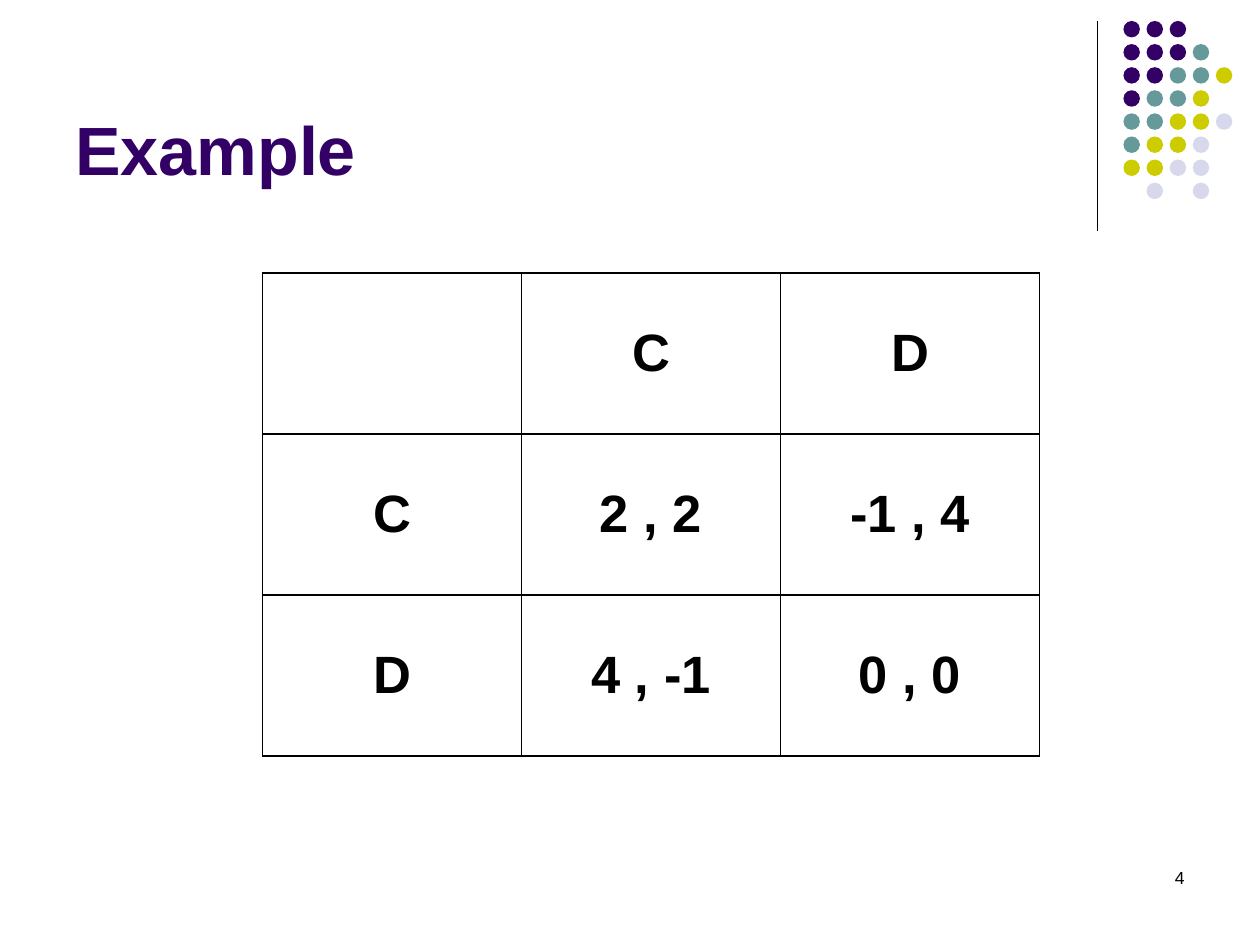
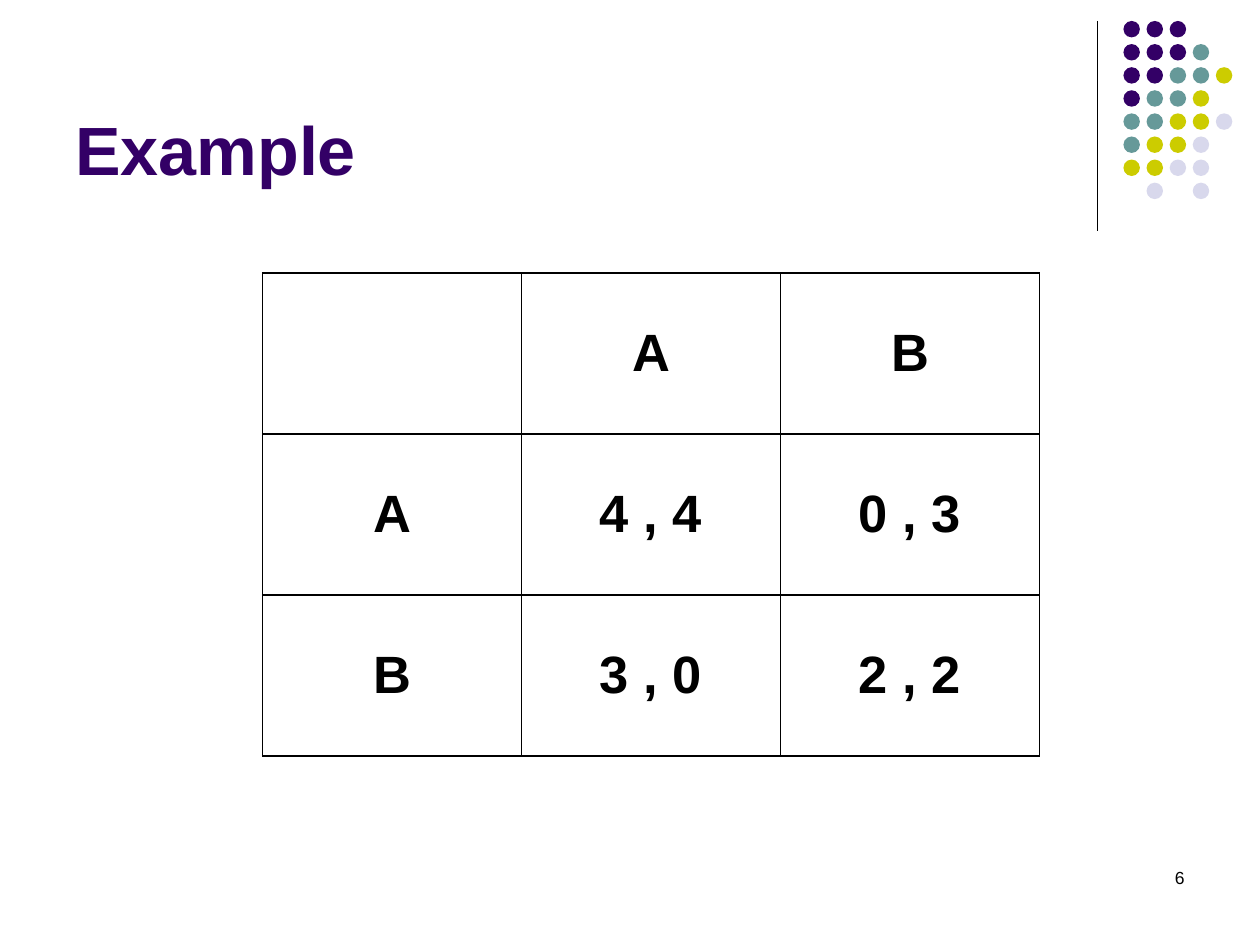
from lxml import etree
from pptx import Presentation
from pptx.dml.color import RGBColor
from pptx.enum.shapes import MSO_CONNECTOR, MSO_SHAPE
from pptx.enum.text import MSO_ANCHOR, PP_ALIGN
from pptx.oxml.ns import qn
from pptx.util import Pt

STRAIGHT = MSO_CONNECTOR.STRAIGHT
OVAL = MSO_SHAPE.OVAL
TOP, MIDDLE, BOTTOM = MSO_ANCHOR.TOP, MSO_ANCHOR.MIDDLE, MSO_ANCHOR.BOTTOM
LEFT, CENTER, RIGHT = PP_ALIGN.LEFT, PP_ALIGN.CENTER, PP_ALIGN.RIGHT

FONT = "Arial"
COLORS = {
    "purple": "330066",
    "teal": "669999",
    "olive": "CCCC00",
    "lavender": "D8D8EC",
    "black": "000000",
    "white": "FFFFFF",
}

# One letter per dot: the first letter of its colour
DOT_ROWS = ["ppp", "pppt", "pptto", "ptto", "ttool", "tool", "ooll", " l l"]
DOT_COLORS = {"p": "purple", "t": "teal", "o": "olive", "l": "lavender"}
DOT_LEFT, DOT_TOP, DOT_SIZE, DOT_PITCH = 642, 12, 9.4, 13.2

COLUMN_WIDTH, ROW_HEIGHT = 148, 92

GAMES = [
    {"number": "4", "payoffs": [["", "C", "D"],
                                ["C", "2 , 2", "-1 , 4"],
                                ["D", "4 , -1", "0 , 0"]]},
    {"number": "6", "payoffs": [["", "A", "B"],
                                ["A", "4 , 4", "0 , 3"],
                                ["B", "3 , 0", "2 , 2"]]},
]


def rgb(name):
    return RGBColor.from_string(COLORS[name])


def write(frame, text, size=30, color="black", bold=False, align=LEFT):
    para = frame.paragraphs[0]
    para.alignment = align
    span = para.add_run()
    span.text = text
    span.font.name = FONT
    span.font.size = Pt(size)
    span.font.bold = bold
    span.font.color.rgb = rgb(color)


def add_text(page, text, left, top, width, height, anchor=TOP, **text_format):
    box = page.shapes.add_textbox(Pt(left), Pt(top), Pt(width), Pt(height))
    box.text_frame.word_wrap = True
    box.text_frame.vertical_anchor = anchor
    write(box.text_frame, text, **text_format)


def add_rule(page):
    rule = page.shapes.add_connector(STRAIGHT, Pt(627), Pt(12), Pt(627), Pt(132))
    rule.line.color.rgb = rgb("black")
    rule.line.width = Pt(0.75)
    etree.SubElement(rule.line._get_or_add_ln().getparent(), qn("a:effectLst"))


def add_dots(page):
    dots = page.shapes.add_group_shape()
    for row, letters in enumerate(DOT_ROWS):
        for column, letter in enumerate(letters):
            if letter == " ":
                continue
            dot = dots.shapes.add_shape(
                OVAL, Pt(DOT_LEFT + column * DOT_PITCH), Pt(DOT_TOP + row * DOT_PITCH),
                Pt(DOT_SIZE), Pt(DOT_SIZE))
            dot.shadow.inherit = False
            dot.fill.solid()
            dot.fill.fore_color.rgb = rgb(DOT_COLORS[letter])
            dot.line.fill.background()


def add_borders(cell):
    properties = cell._tc.get_or_add_tcPr()
    for side in ("lnL", "lnR", "lnT", "lnB"):
        border = etree.SubElement(properties, qn(f"a:{side}"), w=str(Pt(1)))
        fill = etree.SubElement(border, qn("a:solidFill"))
        etree.SubElement(fill, qn("a:srgbClr"), val=COLORS["black"])


def add_payoff_table(page, payoffs):
    rows, columns = len(payoffs), len(payoffs[0])
    table = page.shapes.add_table(
        rows, columns, Pt(150), Pt(156),
        Pt(columns * COLUMN_WIDTH), Pt(rows * ROW_HEIGHT)).table
    table.first_row = False
    table.horz_banding = False
    for row, texts in enumerate(payoffs):
        for column, text in enumerate(texts):
            cell = table.cell(row, column)
            add_borders(cell)
            cell.fill.solid()
            cell.fill.fore_color.rgb = rgb("white")
            cell.vertical_anchor = MIDDLE
            if text:
                write(cell.text_frame, text, bold=True, align=CENTER)


def add_game_page(deck, number, payoffs):
    page = deck.slides.add_slide(deck.slide_layouts[6])
    add_rule(page)
    add_dots(page)
    add_text(page, "Example", 36, 9.5, 594, 102, anchor=BOTTOM,
             size=39, color="purple", bold=True)
    add_payoff_table(page, payoffs)
    add_text(page, number, 516, 492, 168, 36, size=10, align=RIGHT)


def main():
    deck = Presentation()
    deck.slide_width, deck.slide_height = Pt(720), Pt(540)
    for game in GAMES:
        add_game_page(deck, **game)
    deck.save("out.pptx")


if __name__ == "__main__":
    main()
